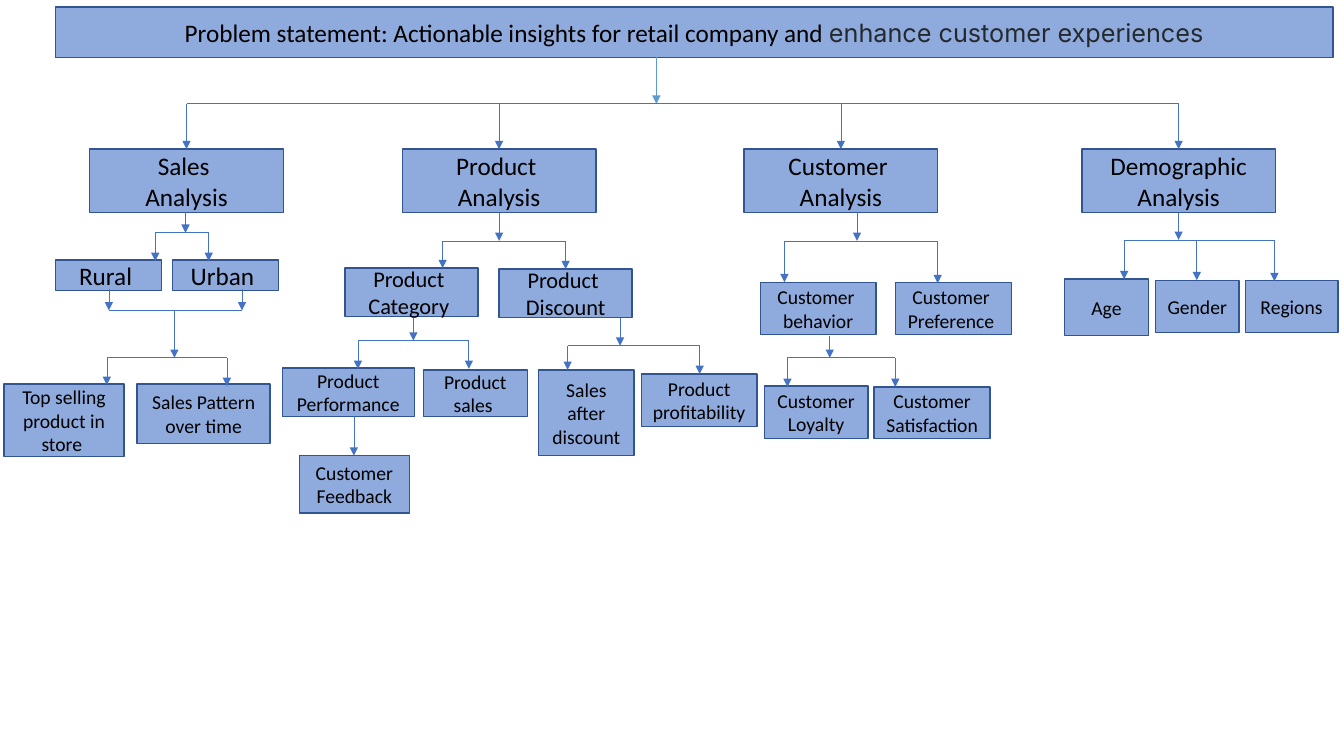
"""Build the problem statement tree for a retail analysis."""
from lxml.etree import SubElement
from pptx import Presentation
from pptx.dml.color import RGBColor
from pptx.enum.shapes import MSO_CONNECTOR, MSO_SHAPE
from pptx.enum.text import MSO_ANCHOR, MSO_AUTO_SIZE, PP_ALIGN
from pptx.oxml.ns import qn
from pptx.util import Pt

PX = 9144
BOX_FILL = RGBColor(0x8F, 0xAA, 0xDC)
BOX_LINE = RGBColor(0x32, 0x54, 0x91)
ARROW = RGBColor(0x44, 0x72, 0xC4)
ROOT_ARROW = RGBColor(0x5B, 0x9B, 0xD5)
BLACK = RGBColor(0x00, 0x00, 0x00)
DARK = RGBColor(0x24, 0x29, 0x2E)


def write(box, text, size=14, font="Calibri", color=BLACK):
    """Fill a box and append text to it, one paragraph per line."""
    box.fill.solid()
    box.fill.fore_color.rgb = BOX_FILL
    box.line.color.rgb = BOX_LINE
    box.line.width = Pt(1)
    frame = box.text_frame
    frame.word_wrap = True
    frame.auto_size = MSO_AUTO_SIZE.NONE
    frame.vertical_anchor = MSO_ANCHOR.MIDDLE
    for index, line in enumerate(text.split("\n")):
        para = frame.add_paragraph() if index else frame.paragraphs[0]
        para.alignment = PP_ALIGN.CENTER
        para.line_spacing = 1.0
        span = para.add_run()
        span.text = line
        span.font.size = Pt(size)
        span.font.name = font
        span.font.color.rgb = color


def connect(x1, y1, x2, y2, color=ARROW, arrow=True):
    """Draw a thin connector, with an arrowhead at its end if wanted."""
    line = page.shapes.add_connector(
        MSO_CONNECTOR.STRAIGHT, x1 * PX, y1 * PX, x2 * PX, y2 * PX)
    line.line.color.rgb = color
    line.line.width = Pt(0.5)
    if arrow:
        SubElement(line.line._get_or_add_ln(), qn("a:tailEnd"), type="triangle")
    SubElement(line._element.spPr, qn("a:effectLst"))


deck = Presentation()
deck.slide_width, deck.slide_height = 1333 * PX, 750 * PX
page = deck.slides.add_slide(deck.slide_layouts[5])

title = page.shapes.title
title.left, title.top, title.width, title.height = 55 * PX, 7 * PX, 1267 * PX, 50 * PX
write(title, "Problem statement: Actionable insights for retail company and ", size=18)
write(title, "enhance customer experiences", size=18, font="Inter", color=DARK)

boxes = [
    (89, 148, 192, 63, 18, "Sales \nAnalysis"),
    (399, 148, 192, 63, 18, "Product \nAnalysis"),
    (738, 148, 192, 63, 18, "Customer \nAnalysis"),
    (1073, 148, 192, 63, 18, "Demographic\nAnalysis"),
    (55, 258, 105, 30, 18, "Rural "),
    (171, 258, 105, 30, 18, "Urban "),
    (4, 381, 119, 72, 14, "Top selling product in store "),
    (136, 381, 132, 59, 14, "Sales Pattern over time"),
    (342, 266, 132, 48, 16, "Product \nCategory "),
    (495, 267, 132, 48, 16, "Product \nDiscount"),
    (280, 365, 131, 48, 14, "Product Performance"),
    (420, 367, 103, 46, 14, "Product sales "),
    (297, 452, 109, 57, 14, "Customer Feedback"),
    (534, 367, 95, 85, 14, "Sales after discount"),
    (636, 371, 115, 52, 14, "Product profitability"),
    (754, 280, 115, 52, 14, "Customer \nbehavior"),
    (888, 280, 115, 52, 14, "Customer \nPreference "),
    (758, 383, 103, 52, 14, "Customer Loyalty"),
    (867, 384, 115, 51, 14, "Customer Satisfaction"),
    (1056, 277, 83, 56, 14, "Age"),
    (1146, 278, 83, 52, 14, "Gender"),
    (1235, 278, 92, 52, 14, "Regions"),
]
for left, top, width, height, size, text in boxes:
    box = page.shapes.add_shape(
        MSO_SHAPE.RECTANGLE, left * PX, top * PX, width * PX, height * PX)
    box.shadow.inherit = False
    write(box, text, size=size)

branches = [
    (651, 57, 103, [(185, 148), (495, 148), (834, 148), (1169, 148)]),
    (184, 210, 231, [(154, 259), (207, 259)]),
    (173, 308, 355, [(106, 382), (225, 383)]),
    (495, 211, 239, [(439, 266), (561, 267)]),
    (410, 315, 338, [(355, 366), (465, 366)]),
    (615, 315, 343, [(563, 367), (694, 371)]),
    (850, 210, 239, [(778, 280), (930, 281)]),
    (823, 333, 355, [(781, 384), (888, 384)]),
    (1169, 211, 238, [(1115, 277), (1187, 278), (1264, 279)]),
]
for stem, top, bar, drops in branches:
    connect(stem, top, stem, bar, color=ROOT_ARROW if top == 57 else ARROW)
    connect(drops[0][0], bar, drops[-1][0], bar, arrow=False)
    for drop, bottom in drops:
        connect(drop, bar, drop, bottom)

connect(108, 308, 240, 308, arrow=False)
for merge in (108, 240):
    connect(merge, 287, merge, 308)
connect(351, 413, 351, 452)

deck.save("out.pptx")
